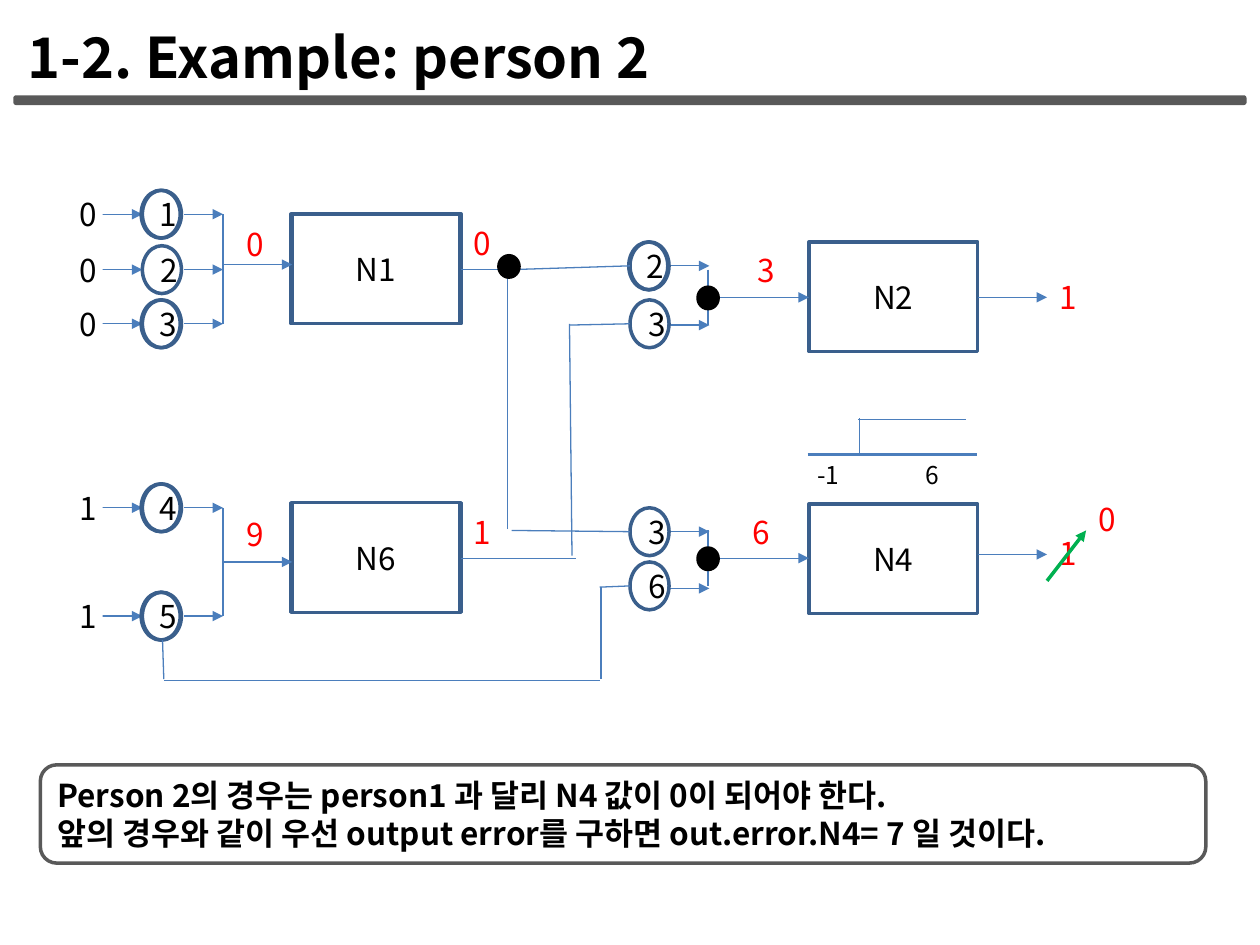
import dataclasses

import lxml.etree
import pptx
import pptx.dml.color
import pptx.enum.shapes
import pptx.enum.text
import pptx.oxml.ns
import pptx.util

SHAPE = pptx.enum.shapes.MSO_SHAPE
ANCHOR = pptx.enum.text.MSO_ANCHOR
ALIGN = pptx.enum.text.PP_ALIGN


@dataclasses.dataclass(frozen=True)
class Theme:
    font: str = "Noto Sans CJK KR"
    ink: str = "000000"
    paper: str = "FFFFFF"
    frame: str = "595959"
    outline: str = "3A5F8C"
    wire: str = "4B7EBC"
    value: str = "FF0000"
    correction: str = "00B050"
    title_size: float = 32
    body_size: float = 18
    small_size: float = 14
    thin: float = 0.75
    medium: float = 1.75
    thick: float = 2


class NetworkPage:
    """Draws a neural network page on a grid of 10 columns by 7.5 rows."""

    def __init__(self, deck, theme):
        self.theme = theme
        self.cell = deck.slide_width / 10
        self.page = deck.slides.add_slide(deck.slide_layouts[5])

    def grid(self, *lengths):
        return [round(length * self.cell) for length in lengths]

    def color(self, code):
        return pptx.dml.color.RGBColor.from_string(code)

    def letter(self, box, text, size, color, bold=False, align=ALIGN.LEFT, anchor=ANCHOR.TOP):
        frame = box.text_frame
        frame.text = text
        frame.word_wrap = True
        frame.vertical_anchor = anchor
        for para in frame.paragraphs:
            para.alignment = align
            for span in para.runs:
                span.font.name = self.theme.font
                span.font.size = pptx.util.Pt(size)
                span.font.bold = bold
                span.font.color.rgb = self.color(color)
                asian = lxml.etree.SubElement(span.font._element, pptx.oxml.ns.qn("a:ea"))
                asian.set("typeface", self.theme.font)

    def title(self, text, *place):
        box = self.page.shapes.title
        box.left, box.top, box.width, box.height = self.grid(*place)
        self.letter(box, text, self.theme.title_size, self.theme.ink, bold=True)

    def shape(self, kind, place, line, fill=None):
        box = self.page.shapes.add_shape(kind, *self.grid(*place))
        box.shadow.inherit = False
        box.line.color.rgb = self.color(line)
        box.line.width = pptx.util.Pt(self.theme.thick)
        if fill:
            box.fill.solid()
            box.fill.fore_color.rgb = self.color(fill)
        else:
            box.fill.background()
        return box

    def node(self, kind, label, place, line, twin=False):
        left, *rest = place
        if twin:
            self.shape(kind, place, line)
            left -= 0.01
        box = self.shape(kind, (left, *rest), line)
        self.letter(box, label, self.theme.body_size, self.theme.ink,
                    align=ALIGN.CENTER, anchor=ANCHOR.MIDDLE)

    def neuron(self, label, left, top, twin=False):
        self.node(SHAPE.RECTANGLE, label, (left, top, 1.34, 0.87), self.theme.outline, twin)

    def weight(self, label, left, top, twin=False):
        self.node(SHAPE.OVAL, label, (left, top, 0.31, 0.38), self.theme.outline, twin)

    def signal(self, label, left, top):
        self.node(SHAPE.OVAL, label, (left, top, 0.31, 0.38), self.theme.paper)

    def junction(self, left, top):
        self.shape(SHAPE.OVAL, (left, top, 0.16, 0.17), self.theme.ink, self.theme.ink)

    def text(self, label, place, size, color):
        box = self.page.shapes.add_textbox(*self.grid(*place))
        self.letter(box, label, size, color)

    def value(self, label, left, top):
        self.text(label, (left, top, 0.31, 0.4), self.theme.body_size, self.theme.value)

    def tick(self, label, left, top):
        self.text(label, (left, top, 0.47, 0.34), self.theme.small_size, self.theme.ink)

    def wire(self, *ends, arrow=False, color=None, width=None):
        link = self.page.shapes.add_connector(
            pptx.enum.shapes.MSO_CONNECTOR.STRAIGHT, *self.grid(*ends))
        link.line.color.rgb = self.color(color or self.theme.wire)
        link.line.width = pptx.util.Pt(width or self.theme.thin)
        if arrow:
            tail = lxml.etree.SubElement(link.line._get_or_add_ln(), pptx.oxml.ns.qn("a:tailEnd"))
            tail.set("type", "triangle")
        lxml.etree.SubElement(link._element.spPr, pptx.oxml.ns.qn("a:effectLst"))

    def caption(self, text, *place):
        box = self.shape(SHAPE.ROUNDED_RECTANGLE, place, self.theme.frame)
        self.letter(box, text, self.theme.body_size, self.theme.ink,
                    bold=True, anchor=ANCHOR.MIDDLE)


def main():
    deck = pptx.Presentation()
    deck.slide_width, deck.slide_height = pptx.util.Inches(10), pptx.util.Inches(7.5)
    theme = Theme()
    net = NetworkPage(deck, theme)

    net.shape(SHAPE.ROUNDED_RECTANGLE, (0.12, 0.77, 9.76, 0.05), theme.frame, theme.frame)
    net.title("1-2. Example: person 2", 0.12, 0.13, 9.29, 0.64)
    net.caption("Person 2의 경우는 person1 과 달리 N4 값이 0이 되어야 한다.\n"
                "앞의 경우와 같이 우선 output error를 구하면 out.error.N4= 7 일 것이다.",
                0.32, 6.07, 9.25, 0.78)

    for label, left, top, twin in (("N1", 2.32, 1.7, True), ("N6", 2.32, 3.99, True),
                                   ("N2", 6.42, 1.92, False), ("N4", 6.42, 4, False)):
        net.neuron(label, left, top, twin)

    for label, signal, row, twin in (("1", "0", 1.7, True), ("2", "0", 2.14, False),
                                     ("3", "0", 2.57, True), ("4", "1", 4.03, True),
                                     ("5", "1", 4.89, True)):
        net.wire(0.81, row, 1.13, row, arrow=True)
        net.wire(1.46, row, 1.77, row, arrow=True)
        net.weight(label, 1.13, row - 0.19, twin)
        net.signal(signal, 0.49, row - 0.19)

    for top, bottom, middle in ((1.7, 2.57, 2.1), (4.03, 4.89, 4.46)):
        net.wire(1.77, top, 1.77, bottom)
        net.wire(1.77, middle, 2.32, middle, arrow=True)

    for label, top, row, twin in (("2", 1.92, 2.11, True), ("3", 2.38, 2.58, False),
                                  ("3", 4.03, 4.22, False), ("6", 4.46, 4.67, False)):
        net.wire(5.32, row, 5.63, row, arrow=True)
        net.weight(label, 5, top, twin)

    for middle, output in ((2.36, 2.36), (4.43, 4.4)):
        net.wire(5.62, middle - 0.22, 5.62, middle - 0.08)
        net.wire(5.62, middle + 0.08, 5.62, middle + 0.22)
        net.wire(5.71, middle, 6.42, middle, arrow=True)
        net.wire(7.76, output, 8.31, output, arrow=True)
        net.junction(5.54, middle - 0.08)

    for ends in ((4.76, 4.66, 5, 4.65), (4.77, 4.66, 4.77, 5.39), (4.76, 5.4, 1.3, 5.4),
                 (1.3, 5.39, 1.29, 5.08), (5, 4.22, 4.06, 4.21), (4.03, 4.2, 4.03, 2.11),
                 (3.66, 2.14, 4.06, 2.14), (4.06, 2.14, 5, 2.11), (3.66, 4.43, 4.57, 4.43),
                 (4.54, 4.41, 4.52, 2.57), (4.52, 2.58, 5, 2.57),
                 (6.81, 3.33, 7.67, 3.33), (6.82, 3.32, 6.82, 3.6)):
        net.wire(*ends)
    net.junction(3.96, 2.03)
    net.wire(6.41, 3.61, 7.75, 3.61, width=theme.medium)
    net.tick("-1", 6.39, 3.6)
    net.tick("6", 7.25, 3.6)

    for label, left, top in (("0", 1.86, 1.74), ("9", 1.86, 4.04), ("0", 3.66, 1.73),
                             ("1", 3.66, 4.02), ("6", 5.87, 4.02), ("3", 5.91, 1.94),
                             ("1", 8.31, 2.16), ("1", 8.31, 4.19), ("0", 8.62, 3.92)):
        net.value(label, left, top)
    net.wire(8.31, 4.61, 8.62, 4.21, arrow=True, color=theme.correction, width=theme.thick)

    deck.save("out.pptx")


if __name__ == "__main__":
    main()
